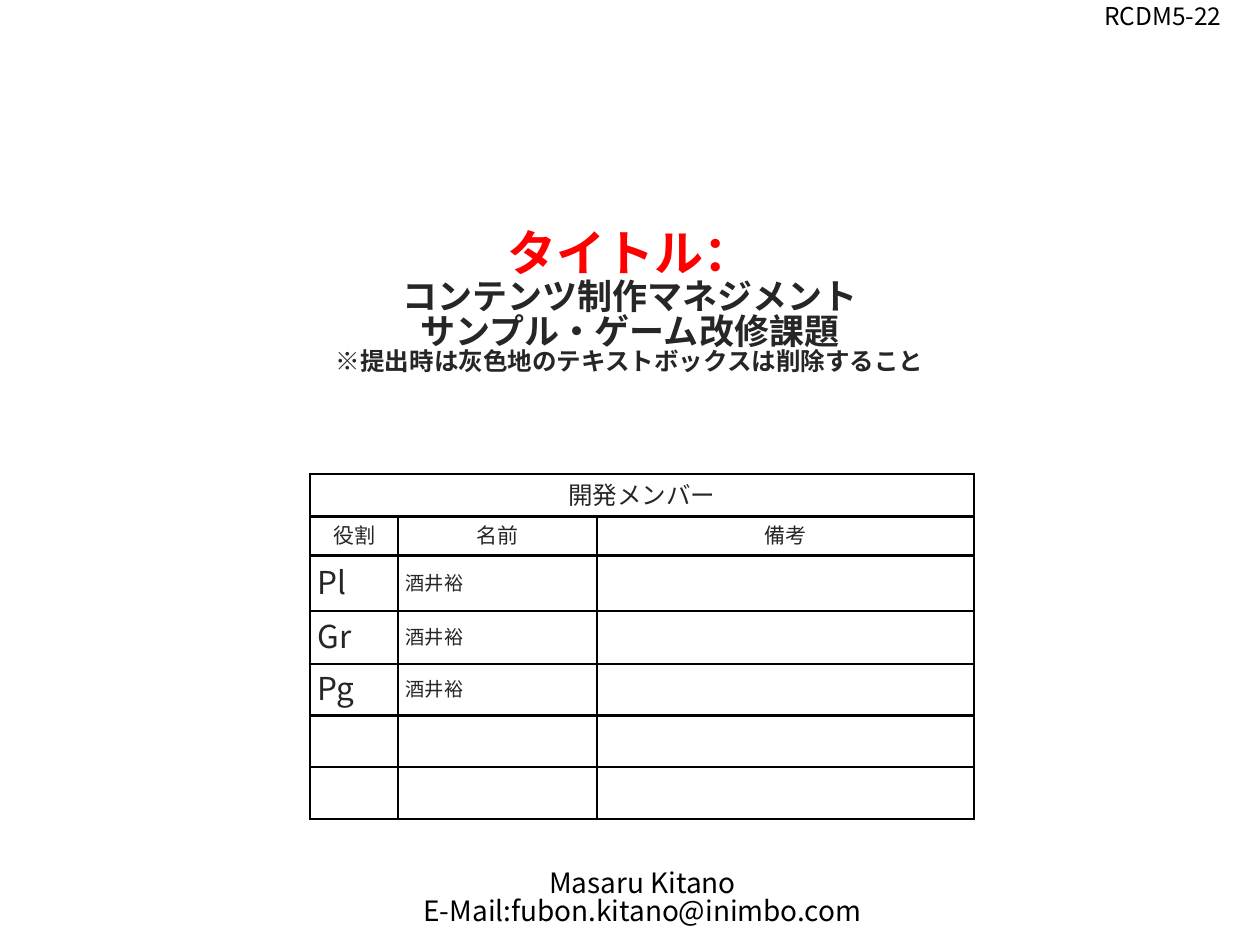
import pptx
import pptx.dml.color
import pptx.enum.text
import pptx.oxml
import pptx.oxml.ns
import pptx.util
from pptx.util import Inches

BLACK = pptx.dml.color.RGBColor(0x00, 0x00, 0x00)
RED = pptx.dml.color.RGBColor(0xFF, 0x00, 0x00)
DARK_GRAY = pptx.dml.color.RGBColor(0x26, 0x26, 0x26)
WHITE = pptx.dml.color.RGBColor(0xFF, 0xFF, 0xFF)
FONT = "Noto Sans CJK JP"
CENTER = pptx.enum.text.PP_ALIGN.CENTER
LEFT = pptx.enum.text.PP_ALIGN.LEFT
MIDDLE = pptx.enum.text.MSO_ANCHOR.MIDDLE
NAMESPACE = pptx.oxml.ns.nsdecls("a")


def format_paragraph(paragraph, size, color, alignment, spacing, bold=False, latin=FONT):
    paragraph.alignment = alignment
    paragraph.line_spacing = spacing
    paragraph.space_before = pptx.util.Pt(0)
    for run in paragraph.runs:
        run.font.size = pptx.util.Pt(size)
        run.font.bold = bold
        run.font.color.rgb = color
        run.font.name = latin
        east_asian = pptx.oxml.parse_xml(f'<a:ea {NAMESPACE} typeface="{FONT}"/>')
        run.font._element.find(pptx.oxml.ns.qn("a:latin")).addnext(east_asian)


def add_borders(cell):
    properties = cell._tc.get_or_add_tcPr()
    for index, side in enumerate(("lnL", "lnR", "lnT", "lnB")):
        border = pptx.oxml.parse_xml(
            f'<a:{side} {NAMESPACE} w="{pptx.util.Pt(1.5)}"><a:solidFill>'
            f'<a:srgbClr val="{BLACK}"/></a:solidFill></a:{side}>'
        )
        properties.insert(index, border)


presentation = pptx.Presentation()
presentation.slide_width = Inches(10)
presentation.slide_height = Inches(7.5)
slide = presentation.slides.add_slide(presentation.slide_layouts[5])

text_boxes = [
    ("Masaru Kitano\nE-Mail:fubon.kitano@inimbo.com", 3.05, 6.86, 4.1, 0.64, 16),
    ("RCDM5-22", 8.46, 0, 1.54, 0.34, 14),
]
for text, left, top, width, height, size in text_boxes:
    text_box = slide.shapes.add_textbox(Inches(left), Inches(top), Inches(width), Inches(height))
    text_box.text_frame.word_wrap = True
    text_box.text_frame.text = text
    for paragraph in text_box.text_frame.paragraphs:
        format_paragraph(paragraph, size, BLACK, CENTER, 0.84)

title = slide.shapes.title
title.left, title.top = Inches(2.15), Inches(1.42)
title.width, title.height = Inches(5.7), Inches(1.99)
title.text_frame.text = (
    "タイトル：\nコンテンツ制作マネジメント\nサンプル・ゲーム改修課題\n"
    "※提出時は灰色地のテキストボックスは削除すること"
)
title.text_frame.auto_size = pptx.enum.text.MSO_AUTO_SIZE.NONE
title.text_frame.vertical_anchor = MIDDLE
title_styles = [(28, RED), (20, DARK_GRAY), (20, DARK_GRAY), (14, DARK_GRAY)]
for paragraph, (size, color) in zip(title.text_frame.paragraphs, title_styles):
    format_paragraph(paragraph, size, color, CENTER, 0.83, bold=True)

column_widths = [0.7, 1.58, 2.99]
row_heights = [0.34, 0.31, 0.44, 0.42, 0.41, 0.41, 0.41]
members = [
    ("開発メンバー", "", ""),
    ("役割", "名前", "備考"),
    ("Pl", "酒井裕", ""),
    ("Gr", "酒井裕", ""),
    ("Pg", "酒井裕", ""),
    ("", "", ""),
    ("", "", ""),
]
table = slide.shapes.add_table(
    len(row_heights), len(column_widths), Inches(2.46), Inches(3.76),
    Inches(sum(column_widths)), Inches(sum(row_heights)),
).table
for column, width in zip(table.columns, column_widths):
    column.width = Inches(width)
for row, height in zip(table.rows, row_heights):
    row.height = Inches(height)
table.cell(0, 0).merge(table.cell(0, 2))

for row_index, texts in enumerate(members):
    for column_index, text in enumerate(texts):
        cell = table.cell(row_index, column_index)
        cell.fill.solid()
        cell.fill.fore_color.rgb = WHITE
        add_borders(cell)
        if not text:
            continue
        cell.text_frame.text = text
        cell.vertical_anchor = MIDDLE
        cell.margin_left = cell.margin_right = Inches(0.06)
        cell.margin_top = cell.margin_bottom = Inches(0.06)
        if row_index < 2:
            size, alignment = (14, 12)[row_index], CENTER
        else:
            size, alignment = (18, 11)[column_index], LEFT
        latin = "Karla" if text == "役割" else FONT
        format_paragraph(cell.text_frame.paragraphs[0], size, DARK_GRAY, alignment, 0.8, latin=latin)

presentation.save("out.pptx")
